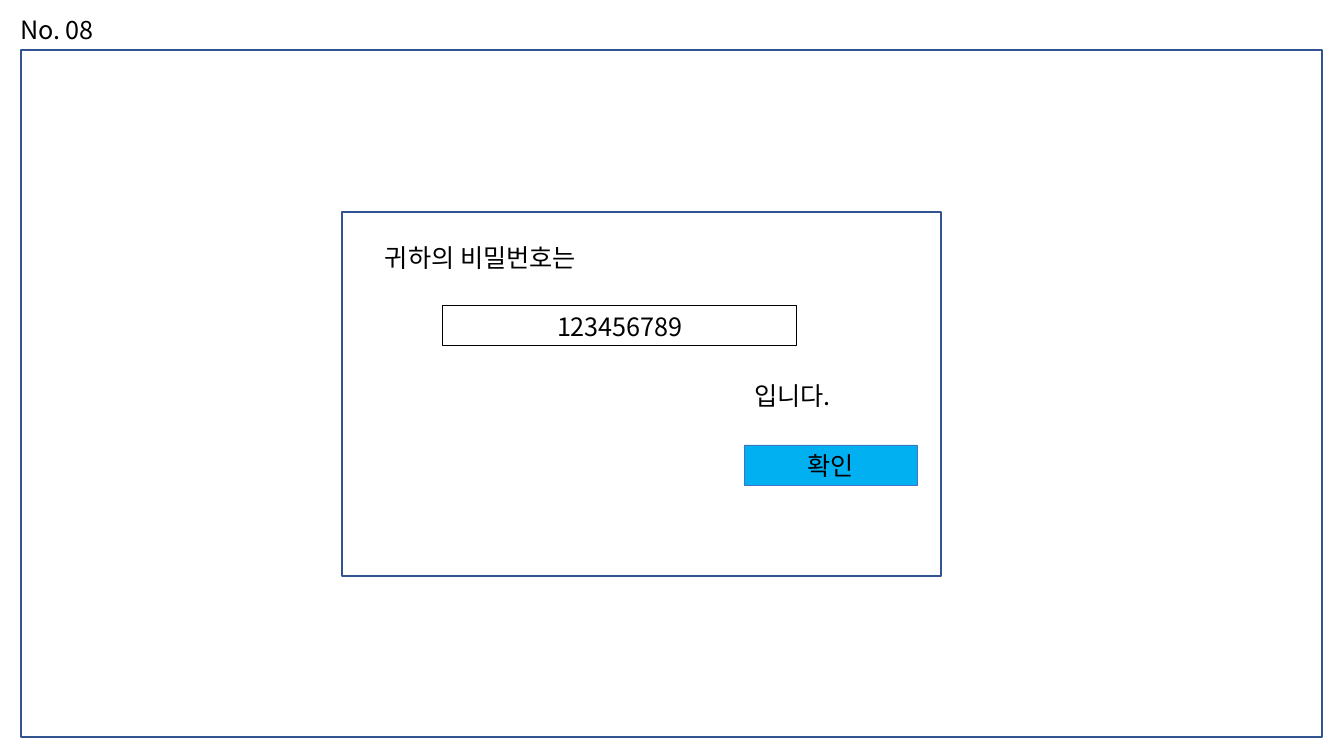
from lxml.etree import SubElement
from pptx import Presentation
from pptx.dml.color import RGBColor
from pptx.enum.shapes import MSO_SHAPE
from pptx.enum.text import MSO_ANCHOR, MSO_AUTO_SIZE, PP_ALIGN
from pptx.oxml.ns import qn
from pptx.util import Pt

PX = 914400 / 100.8
FONT = "Noto Sans CJK KR"
HUES = {"text": "000000", "frame": "325491", "button": "00B0F0", "edge": "4472C4"}


def px(*sizes):
    return [round(size * PX) for size in sizes]


def hue(name):
    return RGBColor.from_string(HUES[name])


def write(shape, words, align=PP_ALIGN.LEFT):
    frame = shape.text_frame
    frame.word_wrap = True
    frame.auto_size = MSO_AUTO_SIZE.NONE
    frame.vertical_anchor = MSO_ANCHOR.MIDDLE
    frame.margin_left, frame.margin_right = px(10, 10)
    frame.margin_top, frame.margin_bottom = px(5, 5)
    para = frame.paragraphs[0]
    para.alignment = align
    para.line_spacing = 1.0
    para.space_before = Pt(0)
    run = para.add_run()
    run.text = words
    run.font.size = Pt(18)
    run.font.name = FONT
    run.font.color.rgb = hue("text")
    # Korean letters take the East Asian font
    SubElement(run.font._element, qn("a:ea"), typeface=FONT)


def title(slide, words, box):
    head = slide.shapes.title
    head.left, head.top, head.width, head.height = px(*box)
    write(head, words)


def label(slide, words, box):
    write(slide.shapes.add_textbox(*px(*box)), words)


def panel(slide, box, line, width, fill=None, words=None):
    shape = slide.shapes.add_shape(MSO_SHAPE.RECTANGLE, *px(*box))
    shape.shadow.inherit = False
    if fill:
        shape.fill.solid()
        shape.fill.fore_color.rgb = hue(fill)
    else:
        shape.fill.background()
    shape.line.color.rgb = hue(line)
    shape.line.width = Pt(width)
    if words:
        write(shape, words, PP_ALIGN.CENTER)


def main():
    deck = Presentation()
    deck.slide_width, deck.slide_height = px(1344, 756)
    slide = deck.slides.add_slide(deck.slide_layouts[5])

    # Screen number and frame
    title(slide, "No. 08", (10, 9, 114, 40))
    panel(slide, (21, 50, 1301, 687), "frame", 1)

    # Password dialog
    panel(slide, (342, 212, 599, 364), "frame", 1)
    label(slide, "귀하의 비밀번호는", (375, 237, 344, 40))
    panel(slide, (443, 306, 354, 40), "text", 0.75, words="123456789")
    label(slide, "입니다.", (744, 375, 173, 40))
    panel(slide, (744, 445, 173, 40), "edge", 0.25, "button", "확인")

    deck.save("out.pptx")


if __name__ == "__main__":
    main()
